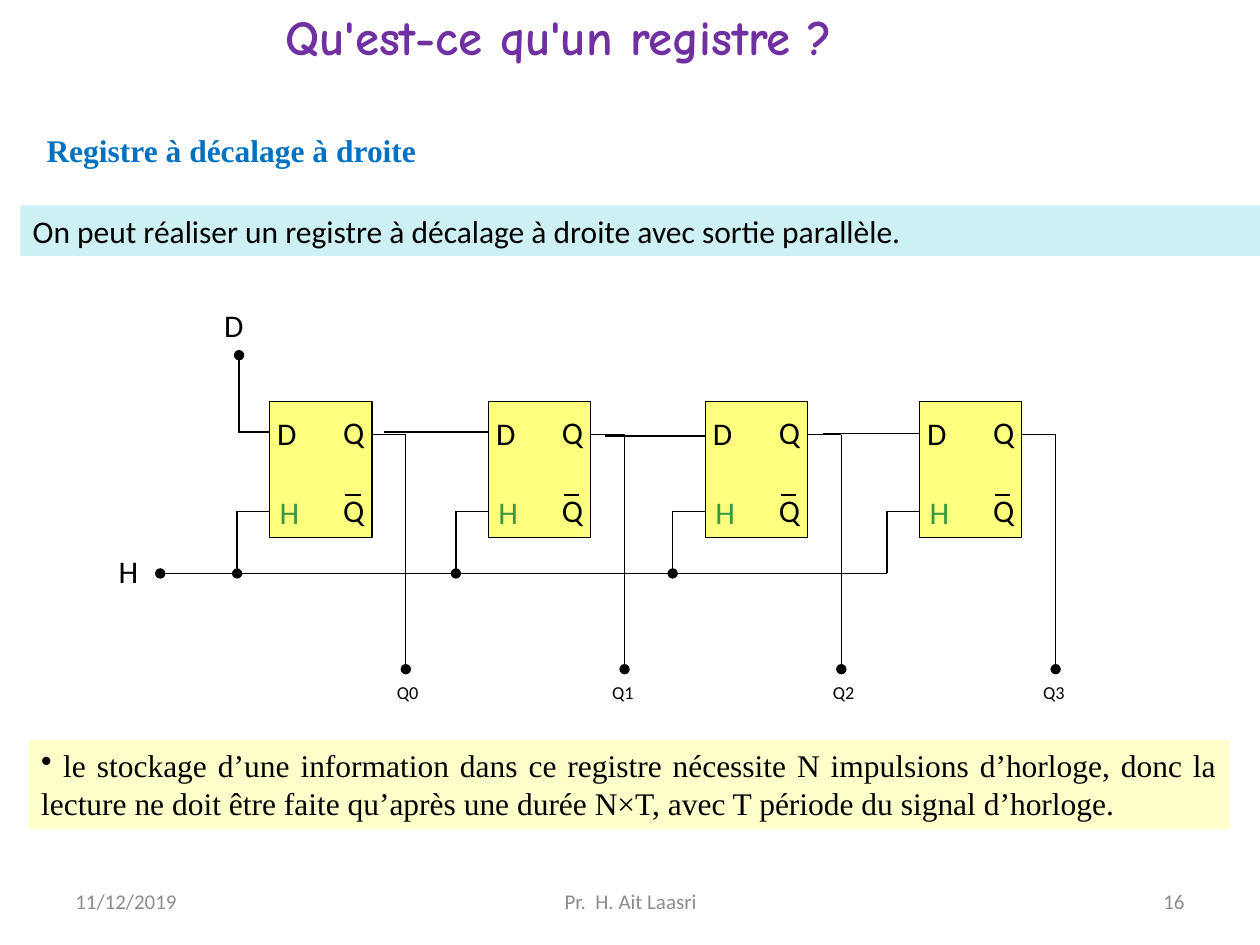
from lxml import etree
from pptx import Presentation
from pptx.dml.color import RGBColor
from pptx.enum.shapes import MSO_CONNECTOR, MSO_SHAPE
from pptx.enum.text import MSO_ANCHOR, MSO_AUTO_SIZE, PP_ALIGN
from pptx.oxml.ns import qn
from pptx.util import Cm, Pt

STRAIGHT = MSO_CONNECTOR.STRAIGHT
RECTANGLE = MSO_SHAPE.RECTANGLE
TOP, MIDDLE = MSO_ANCHOR.TOP, MSO_ANCHOR.MIDDLE
LEFT, CENTER, RIGHT = PP_ALIGN.LEFT, PP_ALIGN.CENTER, PP_ALIGN.RIGHT
JUSTIFY = PP_ALIGN.JUSTIFY
NO_RESIZE = MSO_AUTO_SIZE.NONE
GROW = MSO_AUTO_SIZE.SHAPE_TO_FIT_TEXT

BLACK, GREEN, GREY = "000000", "3B9744", "8C8C8C"
SERIF = "Times New Roman"

FLIP_FLOP_WIDTH, FLIP_FLOP_HEIGHT = 2.06, 2.74
FLIP_FLOP_TOP = 8.1
OUTPUT_REACH = 2.74
CLOCK_REACH = 0.66
CLOCK_BUS = 11.56
OUTPUT_END = 13.49


def color(value):
    return RGBColor.from_string(value)


def write(box, text, size=18, font="Calibri", fill=BLACK, bold=False,
          align=LEFT, anchor=TOP, wrap=True, margin=None, baseline=None,
          bullet=None, resize=GROW):
    frame = box.text_frame
    frame.word_wrap = wrap
    frame.auto_size = resize
    frame.vertical_anchor = anchor
    if margin is not None:
        frame.margin_left = frame.margin_right = Cm(margin)
        frame.margin_top = frame.margin_bottom = Cm(margin)
    para = frame.paragraphs[0]
    para.alignment = align
    if bullet:
        properties = para._p.get_or_add_pPr()
        etree.SubElement(properties, qn("a:buChar")).set("char", bullet)
    span = para.add_run()
    span.text = text
    span.font.size = Pt(size)
    span.font.name = font
    span.font.bold = bold
    span.font.color.rgb = color(fill)
    if baseline:
        span._r.get_or_add_rPr().set("baseline", str(baseline * 1000))


def add_text(canvas, left, top, width, height, text, **style):
    box = canvas.shapes.add_textbox(Cm(left), Cm(top), Cm(width), Cm(height))
    write(box, text, **style)


def add_rectangle(canvas, left, top, width, height, fill, line=None, opacity=None):
    box = canvas.shapes.add_shape(RECTANGLE, Cm(left), Cm(top), Cm(width), Cm(height))
    box.shadow.inherit = False
    box.fill.solid()
    box.fill.fore_color.rgb = color(fill)
    if opacity:
        tint = box._element.spPr.find(qn("a:solidFill"))[0]
        etree.SubElement(tint, qn("a:alpha")).set("val", str(opacity * 1000))
    if line:
        box.line.color.rgb = color(line)
        box.line.width = Pt(0.75)
    else:
        box.line.fill.background()
    return box


def add_wire(canvas, start, end, width=0.75, dot=False):
    wire = canvas.shapes.add_connector(
        STRAIGHT, Cm(start[0]), Cm(start[1]), Cm(end[0]), Cm(end[1]))
    wire.line.color.rgb = color(BLACK)
    wire.line.width = Pt(width)
    if dot:
        outline = wire.line._get_or_add_ln()
        etree.SubElement(outline, qn("a:tailEnd")).set("type", "oval")
    etree.SubElement(wire._element.spPr, qn("a:effectLst"))


def add_symbol(canvas, left, top, text, fill=BLACK, width=0.33):
    add_text(canvas, left, top, width, 0.76, text, fill=fill, anchor=MIDDLE, margin=0)


def add_flip_flop(canvas, left, input_start, input_level, clock_dot):
    top = FLIP_FLOP_TOP
    add_rectangle(canvas, left, top, FLIP_FLOP_WIDTH, FLIP_FLOP_HEIGHT,
                  "FFFF00", line=BLACK, opacity=50)
    add_symbol(canvas, left + 0.2, top + 1.83, "H", GREEN)
    add_symbol(canvas, left + 0.15, top + 0.25, "D")
    for offset in (0.23, 1.79):
        add_symbol(canvas, left + 1.48, top + offset, "Q")
    add_wire(canvas, (left + 1.52, top + 1.88), (left + 1.83, top + 1.88), width=1.5)

    add_wire(canvas, (left, input_level), (input_start, input_level), width=1)

    clock, clock_level = left - CLOCK_REACH, top + 2.21
    add_wire(canvas, (left, clock_level), (clock, clock_level))
    add_wire(canvas, (clock, clock_level), (clock, CLOCK_BUS), dot=clock_dot)

    output, output_level = left + OUTPUT_REACH, top + 0.66
    add_wire(canvas, (left + FLIP_FLOP_WIDTH, output_level), (output, output_level))
    add_wire(canvas, (output, output_level), (output, OUTPUT_END), dot=True)


def add_circuit(page):
    circuit = page.shapes.add_group_shape()
    stages = [
        (5.44, 4.8, 8.71, 8.0),
        (9.85, 7.75, 8.71, 12.34),
        (14.22, 12.19, 8.79, 16.79),
        (18.54, 16.59, 8.74, 21.03),
    ]
    last = len(stages) - 1
    add_wire(circuit, (stages[last][0] - CLOCK_REACH, CLOCK_BUS), (3.23, CLOCK_BUS), dot=True)
    for number, (left, input_start, input_level, label) in enumerate(stages):
        add_flip_flop(circuit, left, input_start, input_level, clock_dot=number < last)
        add_text(circuit, label, OUTPUT_END, 1.09, 0.51, f"Q{number}",
                 anchor=MIDDLE, margin=0, baseline=-25)
    add_wire(circuit, (4.82, 8.71), (4.82, 7.16), dot=True)
    add_symbol(circuit, 4.52, 6.17, "D", width=1.14)
    add_symbol(circuit, 2.39, 11.13, "H", width=0.53)


def add_footer(page):
    for left, width, text, align in (
        (1.27, 5.92, "11/12/2019", LEFT),
        (18.21, 5.92, "16", RIGHT),
        (8.69, 8.05, "Pr.  H. Ait Laasri", CENTER),
    ):
        add_text(page, left, 17.65, width, 1.02, text, size=12, fill=GREY,
                 align=align, anchor=MIDDLE, resize=NO_RESIZE)


def main():
    deck = Presentation()
    deck.slide_width, deck.slide_height = Cm(25.4), Cm(19.05)
    page = deck.slides.add_slide(deck.slide_layouts[6])

    add_text(page, 5.51, 0, 13.74, 1.45, "Qu'est-ce qu'un registre ?",
             size=28, font="Comic Neue", fill="7030A0", bold=True, wrap=False)
    add_text(page, 0.64, 2.51, 8.05, 1.02, "Registre à décalage à droite",
             font=SERIF, fill="0070C0", bold=True, align=CENTER, wrap=False)
    add_circuit(page)

    statement = add_rectangle(page, 0.41, 4.14, 24.99, 1.02, "CCF0F4")
    write(statement, "On peut réaliser un registre à décalage à droite "
                     "avec sortie parallèle.")
    note = add_rectangle(page, 0.58, 14.91, 24.21, 1.8, "FFFFCC")
    write(note, " le stockage d’une information dans ce registre nécessite "
                "N impulsions d’horloge, donc la lecture ne doit être faite "
                "qu’après une durée N×T, avec T période du signal d’horloge.",
          font=SERIF, align=JUSTIFY, anchor=MIDDLE, bullet="•")
    add_footer(page)
    deck.save("out.pptx")


main()
